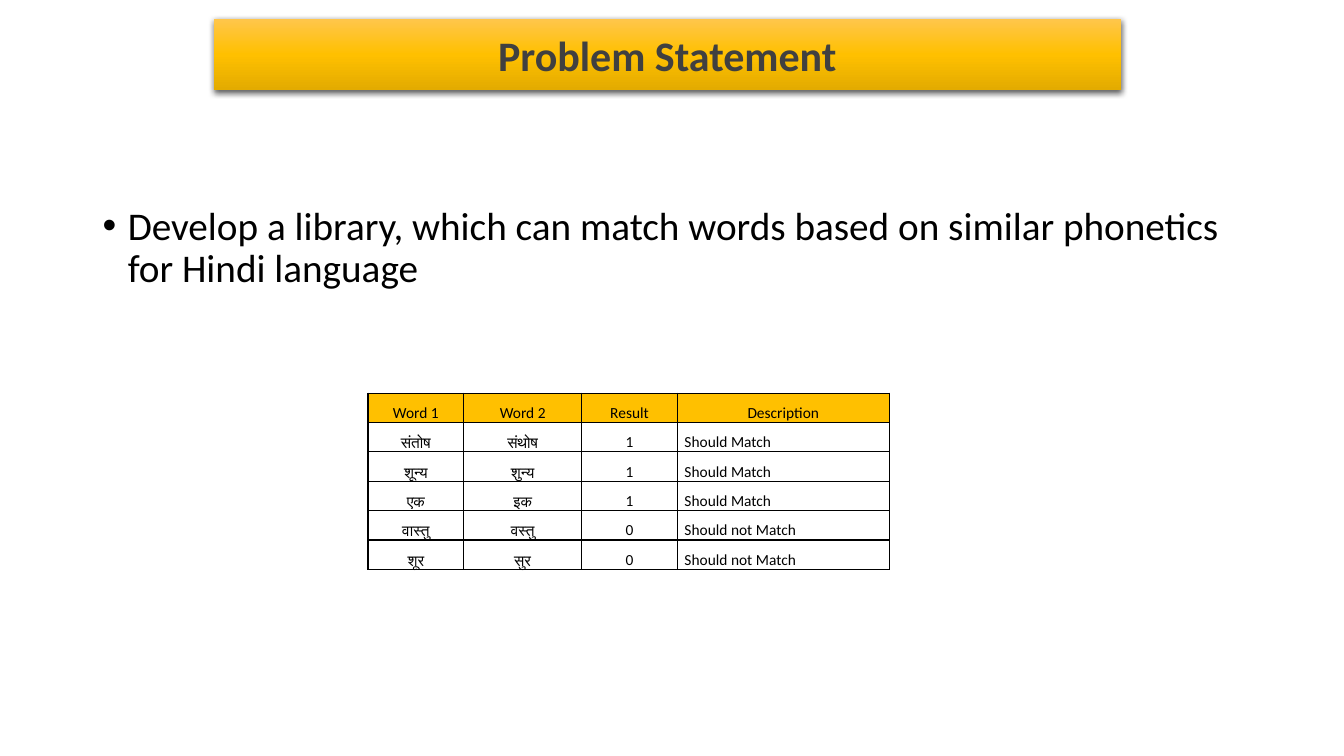
from lxml import etree
from pptx import Presentation
from pptx.dml.color import RGBColor
from pptx.enum.text import MSO_ANCHOR, MSO_AUTO_SIZE, PP_ALIGN
from pptx.oxml import parse_xml
from pptx.oxml.ns import nsdecls, qn
from pptx.util import Inches, Pt

CENTER, LEFT = PP_ALIGN.CENTER, PP_ALIGN.LEFT
MIDDLE, BOTTOM = MSO_ANCHOR.MIDDLE, MSO_ANCHOR.BOTTOM
NO_AUTOFIT = MSO_AUTO_SIZE.NONE

BLACK = RGBColor(0x00, 0x00, 0x00)
CHARCOAL = RGBColor(0x40, 0x40, 0x40)
AMBER = RGBColor(0xFF, 0xC0, 0x00)
LIGHT_AMBER = RGBColor(0xFF, 0xC6, 0x4B)
DARK_AMBER = RGBColor(0xE3, 0xAB, 0x00)

LATIN_FONT, HINDI_FONT = "Calibri", "Lato"

COLUMN_WIDTHS = (0.95, 1.17, 0.95, 2.1)
COLUMN_FONTS = (HINDI_FONT, HINDI_FONT, LATIN_FONT, LATIN_FONT)
COLUMN_ALIGNS = (CENTER, CENTER, CENTER, LEFT)
HEADINGS = ("Word 1", "Word 2", "Result", "Description")
WORD_PAIRS = (
    ("संतोष", "संथोष", "1", "Should Match"),
    ("शून्य", "शुन्य", "1", "Should Match"),
    ("एक", "इक", "1", "Should Match"),
    ("वास्तु", "वस्तु", "0", "Should not Match"),
    ("शूर", "सुर", "0", "Should not Match"),
)


def write_text(frame, text, *, size, color=BLACK, font=LATIN_FONT, bold=False,
               align=LEFT, line=1.0, before=0, after=0):
    para = frame.paragraphs[0]
    para.alignment = align
    para.line_spacing = line
    para.space_before, para.space_after = Pt(before), Pt(after)
    span = para.add_run()
    span.text = text
    span.font.name, span.font.size, span.font.bold = font, Pt(size), bold
    span.font.color.rgb = color
    return para


def add_banner_effects(shape):
    """Give the shape a vertical three-stop gradient and a soft shadow below."""
    stops = "".join(
        f'<a:gs pos="{position}"><a:srgbClr val="{color}"/></a:gs>'
        for position, color in ((0, LIGHT_AMBER), (50000, AMBER), (100000, DARK_AMBER)))
    properties = shape._element.spPr
    properties.append(parse_xml(
        f'<a:gradFill {nsdecls("a")} rotWithShape="1"><a:gsLst>{stops}</a:gsLst>'
        '<a:lin ang="5400000" scaled="0"/></a:gradFill>'))
    properties.append(parse_xml(f'<a:ln {nsdecls("a")}><a:noFill/></a:ln>'))
    properties.append(parse_xml(
        f'<a:effectLst {nsdecls("a")}><a:outerShdw blurRad="{Pt(4.5)}" dist="{Pt(1.5)}" '
        'dir="5400000" algn="ctr" rotWithShape="0"><a:srgbClr val="000000">'
        '<a:alpha val="63000"/></a:srgbClr></a:outerShdw></a:effectLst>'))


def place_title(page, text, left, top, width, height):
    title = page.shapes.title
    title.left, title.top = Inches(left), Inches(top)
    title.width, title.height = Inches(width), Inches(height)
    frame = title.text_frame
    frame.auto_size = NO_AUTOFIT
    frame.vertical_anchor = MIDDLE
    write_text(frame, text, size=30, color=CHARCOAL, bold=True, align=CENTER, after=3)
    add_banner_effects(title)


def add_bullet(page, text, left, top, width, height):
    box = page.shapes.add_textbox(Inches(left), Inches(top), Inches(width), Inches(height))
    box.text_frame.word_wrap = True
    para = write_text(box.text_frame, text, size=28, line=0.9, before=10)
    properties = para._p.get_or_add_pPr()
    properties.set("marL", str(Inches(0.25)))
    properties.set("indent", str(Inches(-0.25)))
    etree.SubElement(properties, qn("a:buFont"), typeface="Arial")
    etree.SubElement(properties, qn("a:buChar"), char="•")


def border_cell(cell):
    properties = cell._tc.get_or_add_tcPr()
    for index, side in enumerate(("lnL", "lnR", "lnT", "lnB")):
        properties.insert(index, parse_xml(
            f'<a:{side} {nsdecls("a")} w="{Pt(1)}"><a:solidFill>'
            f'<a:srgbClr val="{BLACK}"/></a:solidFill></a:{side}>'))


def fill_cell(cell, text, font, align, is_heading):
    cell.margin_left = cell.margin_right = Inches(0.07)
    cell.margin_top = cell.margin_bottom = 0
    cell.vertical_anchor = BOTTOM
    if is_heading:
        cell.fill.solid()
        cell.fill.fore_color.rgb = AMBER
    else:
        cell.fill.background()
    write_text(cell.text_frame, text, size=11, font=font, align=align, line=1.07)
    border_cell(cell)


def add_word_table(page, left, top, width, height):
    rows = (HEADINGS,) + WORD_PAIRS
    table = page.shapes.add_table(len(rows), len(HEADINGS), Inches(left), Inches(top),
                                  Inches(width), Inches(height)).table
    table.horz_banding = False
    for column, share in zip(table.columns, COLUMN_WIDTHS):
        column.width = Inches(width * share / sum(COLUMN_WIDTHS))
    for row_index, row in enumerate(rows):
        is_heading = row_index == 0
        for column_index, text in enumerate(row):
            font = LATIN_FONT if is_heading else COLUMN_FONTS[column_index]
            align = CENTER if is_heading else COLUMN_ALIGNS[column_index]
            fill_cell(table.cell(row_index, column_index), text, font, align, is_heading)


def main():
    deck = Presentation()
    deck.slide_width, deck.slide_height = Inches(13.33), Inches(7.5)
    page = deck.slides.add_slide(deck.slide_layouts.get_by_name("Title Only"))
    place_title(page, "Problem Statement", 2.12, 0.19, 9, 0.7)
    add_bullet(page, "Develop a library, which can match words based on similar phonetics "
               "for Hindi language", 0.92, 2, 11.5, 4.76)
    add_word_table(page, 3.65, 3.9, 5.17, 1.75)
    deck.save("out.pptx")


if __name__ == "__main__":
    main()
